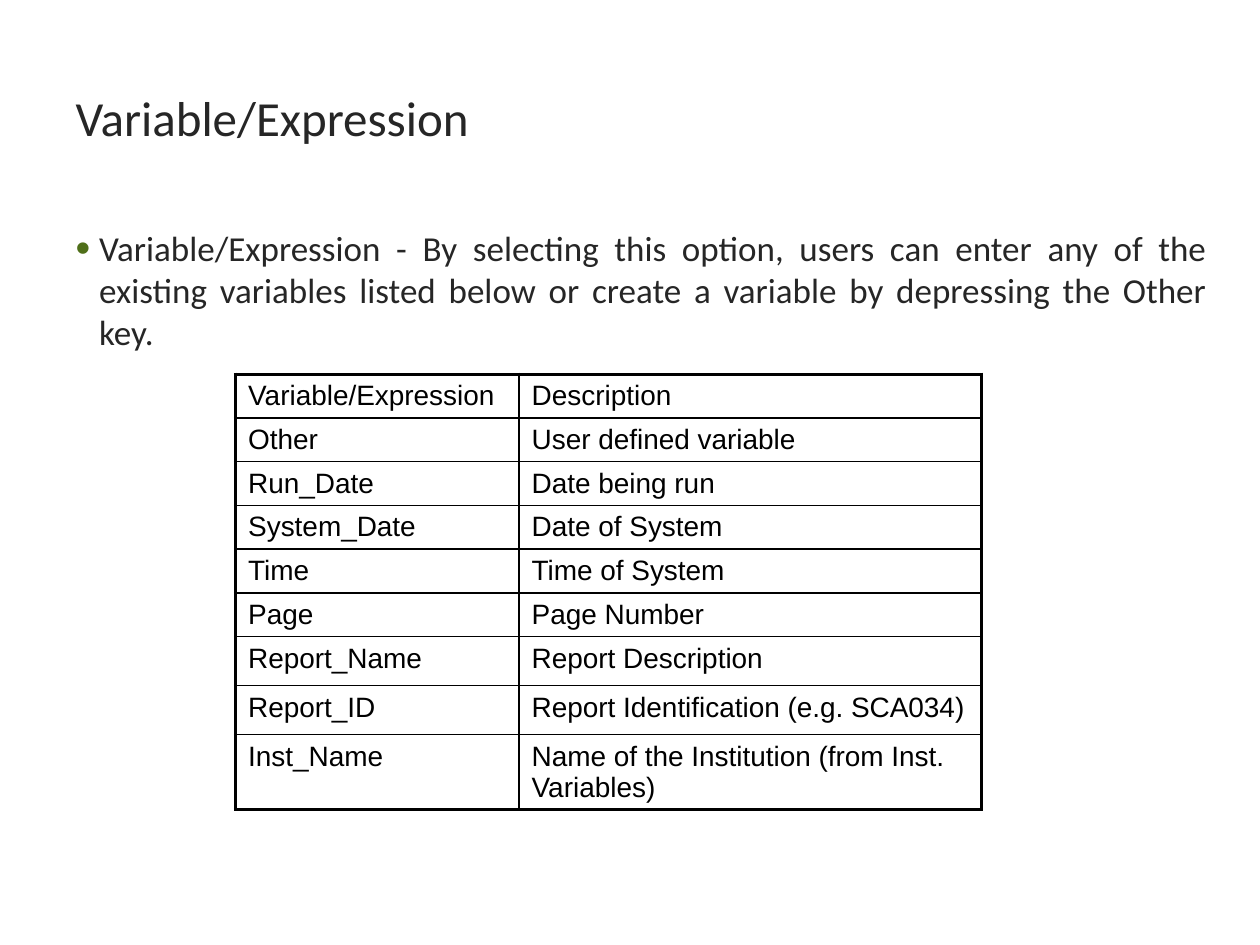
from dataclasses import dataclass

from lxml import etree
from pptx import Presentation
from pptx.dml.color import RGBColor
from pptx.enum.text import MSO_ANCHOR, MSO_AUTO_SIZE, PP_ALIGN
from pptx.oxml.ns import qn
from pptx.util import Pt

LEFT, JUSTIFY = PP_ALIGN.LEFT, PP_ALIGN.JUSTIFY
TOP, MIDDLE = MSO_ANCHOR.TOP, MSO_ANCHOR.MIDDLE
NO_AUTOFIT = MSO_AUTO_SIZE.NONE
INK, BLACK, GREEN = "262626", "000000", "4F6F19"
THICK, THIN = 2.25, 1


@dataclass
class Variable:
    name: str
    description: str
    height: float = 25


@dataclass
class TextStyle:
    font: str
    size: float
    color: str
    align: PP_ALIGN = LEFT


ROWS = [
    Variable("Variable/Expression", "Description"),
    Variable("Other", "User defined variable"),
    Variable("Run_Date", "Date being run"),
    Variable("System_Date", "Date of System"),
    Variable("Time", "Time of System"),
    Variable("Page", "Page Number"),
    Variable("Report_Name", "Report Description", 28),
    Variable("Report_ID", "Report Identification (e.g. SCA034)", 28),
    Variable("Inst_Name", "Name of the Institution (from Inst. Variables)", 42),
]
COL_WIDTHS = [162, 264.24]
TITLE = TextStyle("Calibri", 28, INK)
BODY = TextStyle("Calibri", 20, INK, JUSTIFY)
CELL = TextStyle("Arial", 16, BLACK)


def rgb(color: str) -> RGBColor:
    return RGBColor.from_string(color)


def write(tf, text: str, style: TextStyle) -> None:
    tf.text = text
    p = tf.paragraphs[0]
    p.alignment = style.align
    p.space_before = Pt(0)
    for r in p.runs:
        r.font.name = style.font
        r.font.size = Pt(style.size)
        r.font.bold = False
        r.font.color.rgb = rgb(style.color)


def place(sp, box: tuple, anchor: MSO_ANCHOR) -> None:
    sp.left, sp.top, sp.width, sp.height = map(Pt, box)
    tf = sp.text_frame
    tf.word_wrap = True
    tf.auto_size = NO_AUTOFIT
    tf.vertical_anchor = anchor


def add_bullet(p, color: str, indent: float) -> None:
    pPr = p._p.get_or_add_pPr()
    pPr.set("marL", str(Pt(indent)))
    pPr.set("indent", str(-Pt(indent)))
    clr = etree.SubElement(pPr, qn("a:buClr"))
    etree.SubElement(clr, qn("a:srgbClr"), val=color)
    etree.SubElement(pPr, qn("a:buSzPct"), val="120000")
    etree.SubElement(pPr, qn("a:buFont"), typeface="Arial")
    etree.SubElement(pPr, qn("a:buChar"), char="•")


def add_border(cell, side: str, width: float) -> None:
    tcPr = cell._tc.get_or_add_tcPr()
    ln = etree.SubElement(tcPr, qn(f"a:ln{side}"), w=str(Pt(width)))
    fill = etree.SubElement(ln, qn("a:solidFill"))
    etree.SubElement(fill, qn("a:srgbClr"), val=BLACK)


def add_variables(slide, rows: list[Variable], left: float, top: float) -> None:
    width, height = sum(COL_WIDTHS), sum(row.height for row in rows)
    frame = slide.shapes.add_table(
        len(rows), len(COL_WIDTHS), Pt(left), Pt(top), Pt(width), Pt(height))
    table = frame.table
    table.first_row = table.horz_banding = False
    for col, col_width in zip(table.columns, COL_WIDTHS):
        col.width = Pt(col_width)
    last_row, last_col = len(rows) - 1, len(COL_WIDTHS) - 1
    for i, row in enumerate(rows):
        table.rows[i].height = Pt(row.height)
        for j, text in enumerate((row.name, row.description)):
            cell = table.cell(i, j)
            write(cell.text_frame, text, CELL)
            outer = {"L": j == 0, "R": j == last_col,
                     "T": i == 0, "B": i == last_row}
            for side, is_outer in outer.items():
                add_border(cell, side, THICK if is_outer else THIN)
            cell.fill.background()


def main() -> None:
    prs = Presentation()
    prs.slide_width, prs.slide_height = Pt(720), Pt(540)
    slide = prs.slides.add_slide(prs.slide_layouts[1])

    title, body = slide.placeholders
    place(title, (36, 21.6, 648, 90), MIDDLE)
    write(title.text_frame, "Variable/Expression", TITLE)

    place(body, (36, 126, 660.96, 98.64), TOP)
    write(body.text_frame,
          "Variable/Expression - By selecting this option, users can enter any "
          "of the existing variables listed below or create a variable by "
          "depressing the Other key.", BODY)
    add_bullet(body.text_frame.paragraphs[0], GREEN, 13.5)

    add_variables(slide, ROWS, 134.64, 213.84)
    prs.save("out.pptx")


if __name__ == "__main__":
    main()
